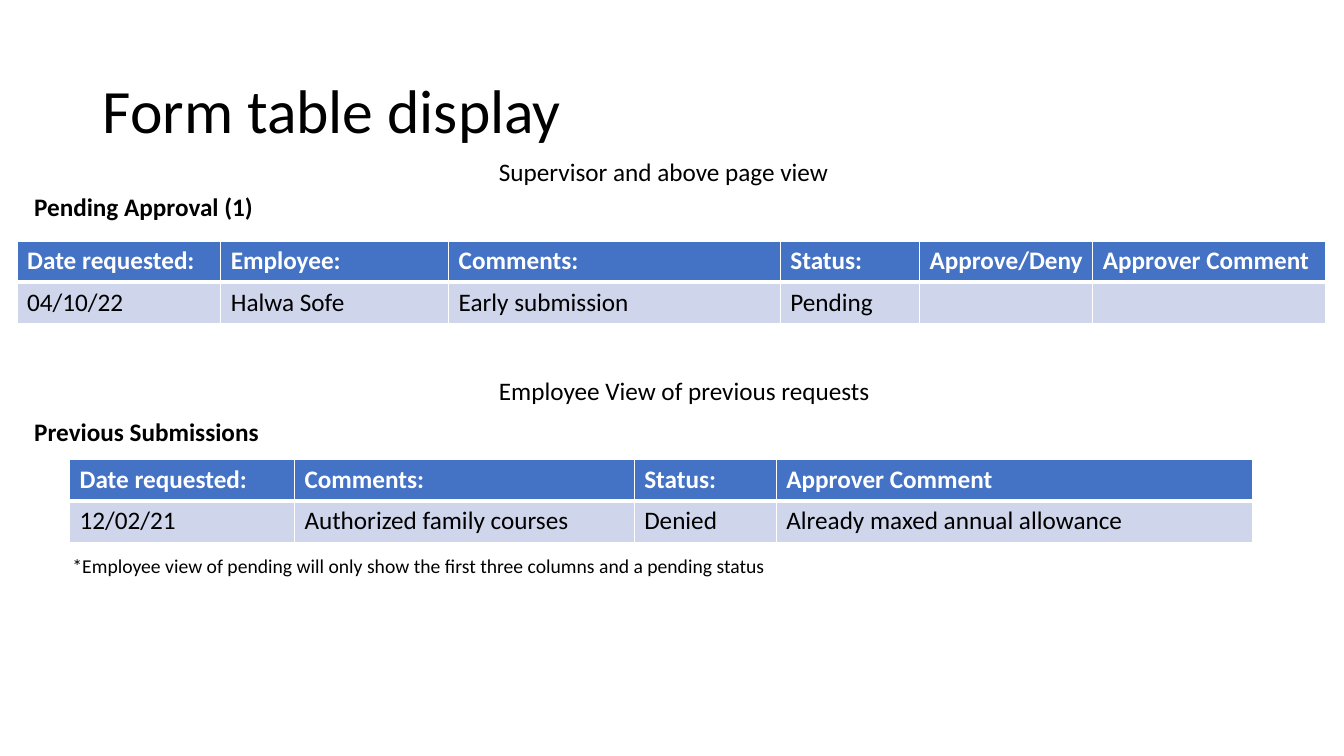
from lxml.etree import SubElement
from pptx import Presentation
from pptx.dml.color import RGBColor
from pptx.enum.text import MSO_ANCHOR
from pptx.oxml.ns import qn
from pptx.util import Pt

PX = 9144  # 100 px to the inch
ROW_H = 41
LABEL_H = 40
FONT = "Calibri"
BLACK = RGBColor(0x00, 0x00, 0x00)
WHITE = RGBColor(0xFF, 0xFF, 0xFF)
HEADER_BLUE = RGBColor(0x44, 0x72, 0xC4)
BODY_BLUE = RGBColor(0xCF, 0xD5, 0xEA)


def px(*lengths):
    return [n * PX for n in lengths]


def write(tf, text, size=18, color=BLACK, bold=False, spacing=None):
    p = tf.paragraphs[0]
    p.line_spacing = spacing
    # The paragraph font also sets the height of an empty cell
    fonts = [p.font]
    if text:
        r = p.add_run()
        r.text = text
        fonts.append(r.font)
    for font in fonts:
        font.name, font.size, font.bold = FONT, Pt(size), bold
        font.color.rgb = color


def add_text(s, box, text, anchor=MSO_ANCHOR.TOP, **fmt):
    tf = s.shapes.add_textbox(*px(*box)).text_frame
    tf.word_wrap = True
    tf.vertical_anchor = anchor
    write(tf, text, **fmt)


def set_borders(cell, **widths):
    """Draw white borders; widths in points are keyed L, R, T, B in that order."""
    tcPr = cell._tc.get_or_add_tcPr()
    for side, width in widths.items():
        ln = SubElement(tcPr, qn(f"a:ln{side}"), w=str(Pt(width)))
        fill = SubElement(ln, qn("a:solidFill"))
        SubElement(fill, qn("a:srgbClr"), val=str(WHITE))


def add_request_table(s, left, top, widths, rows):
    """Place a header row and the request rows below it."""
    box = px(left, top, sum(widths), ROW_H * len(rows))
    table = s.shapes.add_table(len(rows), len(widths), *box).table
    for column, width in zip(table.columns, px(*widths)):
        column.width = width
    for i, values in enumerate(rows):
        header = i == 0
        table.rows[i].height = ROW_H * PX
        for j, value in enumerate(values):
            cell = table.cell(i, j)
            set_borders(cell, L=1, R=1, T=3 if i == 1 else 1, B=3 if header else 1)
            cell.fill.solid()
            cell.fill.fore_color.rgb = HEADER_BLUE if header else BODY_BLUE
            write(cell.text_frame, value, color=WHITE if header else BLACK, bold=header)


def add_supervisor_view(s, left, top):
    add_text(s, (left + 468, top, 363, LABEL_H), "Supervisor and above page view")
    add_text(s, (left + 7, top + 35, 399, LABEL_H), "Pending Approval (1)", bold=True)
    add_request_table(s, left, top + 89, [202, 226, 329, 138, 172, 231], [
        ["Date requested:", "Employee:", "Comments:", "Status:", "Approve/Deny",
         "Approver Comment"],
        ["04/10/22", "Halwa Sofe", "Early submission", "Pending", "", ""],
    ])


def add_employee_view(s, left, top):
    add_text(s, (left + 461, top, 391, LABEL_H), "Employee View of previous requests")
    add_text(s, (left, top + 41, 399, LABEL_H), "Previous Submissions", bold=True)
    add_request_table(s, left + 45, top + 89, [223, 337, 141, 472], [
        ["Date requested:", "Comments:", "Status:", "Approver Comment"],
        ["12/02/21", "Authorized family courses", "Denied",
         "Already maxed annual allowance"],
    ])
    add_text(s, (left + 38, top + 178, 918, 34),
             "*Employee view of pending will only show the first three columns "
             "and a pending status", size=14)


def main():
    prs = Presentation()
    prs.slide_width, prs.slide_height = px(1333, 750)
    s = prs.slides.add_slide(prs.slide_layouts[6])
    add_text(s, (92, 40, 1150, 145), "Form table display",
             anchor=MSO_ANCHOR.MIDDLE, size=44, spacing=0.9)
    add_supervisor_view(s, 17, 150)
    add_employee_view(s, 24, 367)
    prs.save("out.pptx")


if __name__ == "__main__":
    main()
